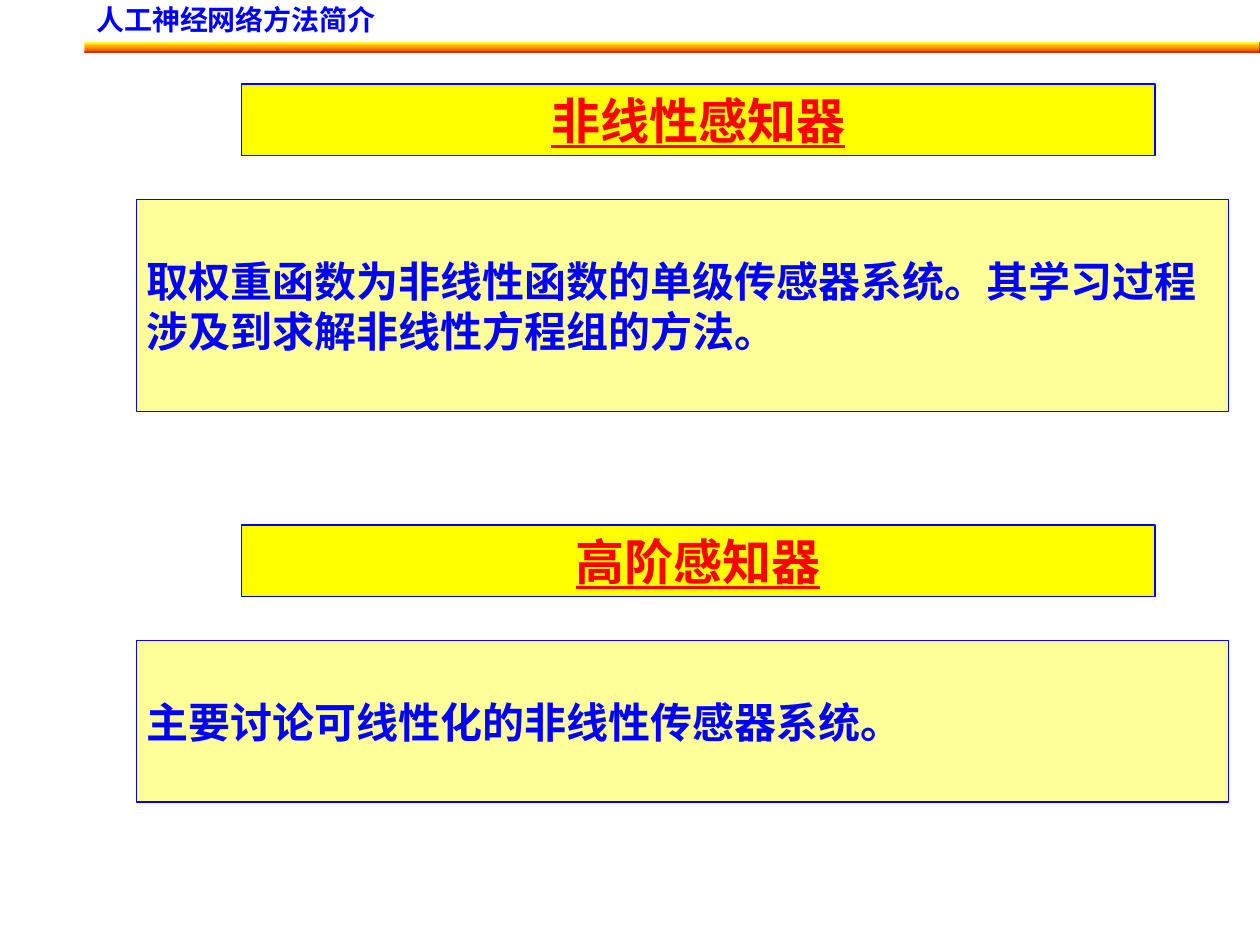
import pptx
import pptx.dml.color
import pptx.enum.shapes
import pptx.enum.text
import pptx.util

RECTANGLE = pptx.enum.shapes.MSO_SHAPE.RECTANGLE
BEVEL = pptx.enum.shapes.MSO_SHAPE.BEVEL
ALIGN = pptx.enum.text.PP_ALIGN
ANCHOR = pptx.enum.text.MSO_ANCHOR

THEME = {
    "font": "Times New Roman",
    "blue": "0000FF",
    "red": "FF0000",
    "yellow": "FFFF00",
    "cream": "FFFF99",
    "bar": ("FFFF00", "FF3300"),
    "header size": 16,
    "heading size": 28,
    "body size": 24,
    "outline": 0.75,
}
COLUMNS, ROWS = 120, 90

deck = pptx.Presentation()
deck.slide_width = pptx.util.Inches(10)
deck.slide_height = pptx.util.Inches(7.5)
page = deck.slides.add_slide(deck.slide_layouts[6])
column = deck.slide_width / COLUMNS
row = deck.slide_height / ROWS


def add_box(kind, left, top, width, height):
    box = page.shapes.add_shape(
        kind, round(left * column), round(top * row), round(width * column), round(height * row)
    )
    box.shadow.inherit = False
    box.fill.background()
    box.line.fill.background()
    return box


def write(box, text, size, color, align, anchor, insets, underline=False, spacing=1.0):
    left, top, right, bottom = (pptx.util.Inches(inset) for inset in insets)
    frame = box.text_frame
    para = frame.paragraphs[0]
    span = para.add_run()
    span.text = text
    span.font.color.rgb = pptx.dml.color.RGBColor.from_string(color)
    formats = (
        (frame, {"word_wrap": True, "vertical_anchor": anchor, "margin_left": left,
                 "margin_top": top, "margin_right": right, "margin_bottom": bottom}),
        (para, {"alignment": align, "line_spacing": spacing}),
        (span.font, {"name": THEME["font"], "size": pptx.util.Pt(size),
                     "bold": True, "underline": underline}),
    )
    for target, values in formats:
        for name, value in values.items():
            setattr(target, name, value)


bar = add_box(BEVEL, 8, 4, 112, 1)
bar.adjustments[0] = 0.125
bar.fill.gradient()
bar.fill.gradient_angle = 270
for stop, color, position in zip(bar.fill.gradient_stops, THEME["bar"], (0, 1)):
    stop.color.rgb = pptx.dml.color.RGBColor.from_string(color)
    stop.position = position

header = add_box(RECTANGLE, 8, 0, 79, 7)
write(header, "人工神经网络方法简介", THEME["header size"], THEME["blue"],
      ALIGN.LEFT, ANCHOR.TOP, (0.1, 0.05, 0.1, 0.05), spacing=0.9)

sections = (
    (8, "非线性感知器", 20.2,
     "取权重函数为非线性函数的单级传感器系统。其学习过程涉及到求解非线性方程组的方法。"),
    (50, "高阶感知器", 15.4, "主要讨论可线性化的非线性传感器系统。"),
)
for top, heading, body_height, body in sections:
    heading_box = add_box(RECTANGLE, 23, top, 87, 6.8)
    body_box = add_box(RECTANGLE, 13, top + 11, 104, body_height)
    for box, fill in ((heading_box, THEME["yellow"]), (body_box, THEME["cream"])):
        box.fill.solid()
        box.fill.fore_color.rgb = pptx.dml.color.RGBColor.from_string(fill)
        box.line.color.rgb = pptx.dml.color.RGBColor.from_string(THEME["blue"])
        box.line.width = pptx.util.Pt(THEME["outline"])
    write(heading_box, heading, THEME["heading size"], THEME["red"],
          ALIGN.CENTER, ANCHOR.MIDDLE, (0.1, 0.05, 0.1, 0.05), underline=True)
    write(body_box, body, THEME["body size"], THEME["blue"],
          ALIGN.LEFT, ANCHOR.MIDDLE, (0.08, 0.04, 0.04, 0.04))

deck.save("out.pptx")
